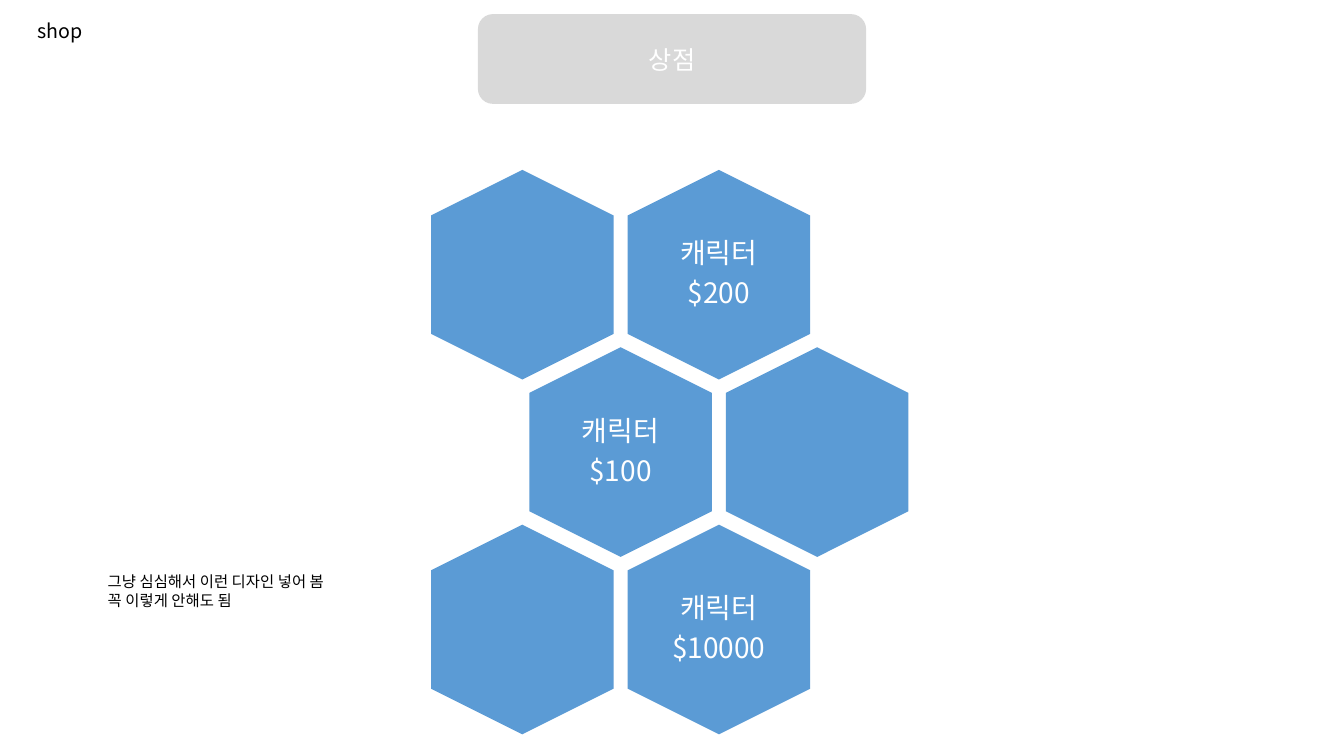
from dataclasses import dataclass

import lxml.etree
import pptx
import pptx.dml.color
import pptx.enum.shapes
import pptx.enum.text
import pptx.oxml.ns
import pptx.shapes.autoshape
import pptx.shapes.shapetree
import pptx.util

Inches = pptx.util.Inches
Pt = pptx.util.Pt
RGBColor = pptx.dml.color.RGBColor
Align = pptx.enum.text.PP_ALIGN
Anchor = pptx.enum.text.MSO_ANCHOR
Preset = pptx.enum.shapes.MSO_SHAPE


@dataclass(frozen=True)
class Theme:
    font: str = "Noto Sans CJK KR"
    black: RGBColor = RGBColor(0x00, 0x00, 0x00)
    white: RGBColor = RGBColor(0xFF, 0xFF, 0xFF)
    tile: RGBColor = RGBColor(0x5B, 0x9B, 0xD5)
    banner: RGBColor = RGBColor(0xD9, 0xD9, 0xD9)
    label_size: int = 14
    banner_size: int = 18
    tile_size: int = 20
    note_size: int = 11


@dataclass(frozen=True)
class Box:
    left: float
    top: float
    width: float
    height: float

    def lengths(self) -> tuple[pptx.util.Length, ...]:
        return tuple(Inches(v) for v in (self.left, self.top, self.width, self.height))


@dataclass(frozen=True)
class ShopTile:
    row: int
    column: int
    lines: tuple[str, ...] = ()


@dataclass(frozen=True)
class Caption:
    box: Box
    lines: tuple[str, ...]
    size: int


THEME = Theme()
BANNER = Box(4.74, 0.14, 3.85, 0.89)

# Hexagons are drawn lying down and turned upright; odd rows shift by half a step.
HONEYCOMB = Box(4.14, 1.82, 2.08, 1.81)
COLUMN_STEP = 1.95
ROW_STEP = 1.76
PRICE_WIDTH, PRICE_HEIGHT = 1.24, 1.43
PRICE_INSET = 0.08

TILES = (
    ShopTile(0, 1, ("캐릭터", "$200")),
    ShopTile(0, 0),
    ShopTile(1, 0, ("캐릭터", "$100")),
    ShopTile(1, 1),
    ShopTile(2, 1, ("캐릭터", "$10000")),
    ShopTile(2, 0),
)

PAGE_LABEL = Caption(Box(0.27, 0.14, 1.39, 0.34), ("shop",), THEME.label_size)
DESIGN_NOTE = Caption(
    Box(0.97, 5.63, 3, 0.47),
    ("그냥 심심해서 이런 디자인 넣어 봄", "꼭 이렇게 안해도 됨"),
    THEME.note_size,
)


def write_lines(
    frame: pptx.text.text.TextFrame,
    lines: tuple[str, ...],
    size: int,
    color: RGBColor,
    align: Align = Align.LEFT,
) -> None:
    """Write one paragraph per line, with the font set for Latin and Korean text."""
    frame.word_wrap = True
    for index, line in enumerate(lines):
        paragraph = frame.add_paragraph() if index else frame.paragraphs[0]
        paragraph.alignment = align
        run = paragraph.add_run()
        run.text = line
        run.font.name = THEME.font
        run.font.size = Pt(size)
        run.font.color.rgb = color
        korean = lxml.etree.SubElement(run.font._element, pptx.oxml.ns.qn("a:ea"))
        korean.set("typeface", THEME.font)


def add_filled_shape(
    shapes: pptx.shapes.shapetree.SlideShapes | pptx.shapes.shapetree.GroupShapes,
    preset: Preset,
    box: Box,
    color: RGBColor,
) -> pptx.shapes.autoshape.Shape:
    shape = shapes.add_shape(preset, *box.lengths())
    shape.shadow.inherit = False
    shape.fill.solid()
    shape.fill.fore_color.rgb = color
    shape.line.fill.background()
    return shape


def add_tile(shapes: pptx.shapes.shapetree.GroupShapes, tile: ShopTile) -> None:
    left = HONEYCOMB.left + COLUMN_STEP * (tile.column + tile.row % 2 / 2)
    top = HONEYCOMB.top + ROW_STEP * tile.row
    box = Box(left, top, HONEYCOMB.width, HONEYCOMB.height)
    hexagon = add_filled_shape(shapes, Preset.HEXAGON, box, THEME.tile)
    hexagon.rotation = 90
    if not tile.lines:
        return

    price_box = Box(
        left + (box.width - PRICE_WIDTH) / 2,
        top + (box.height - PRICE_HEIGHT) / 2,
        PRICE_WIDTH,
        PRICE_HEIGHT,
    )
    frame = shapes.add_textbox(*price_box.lengths()).text_frame
    frame.margin_left = frame.margin_right = Inches(PRICE_INSET)
    frame.margin_top = frame.margin_bottom = Inches(PRICE_INSET)
    frame.vertical_anchor = Anchor.MIDDLE
    write_lines(frame, tile.lines, THEME.tile_size, THEME.white, Align.CENTER)
    for paragraph in frame.paragraphs:
        paragraph.line_spacing = 0.9
        paragraph.space_after = Pt(0.35 * THEME.tile_size)


def add_caption(shapes: pptx.shapes.shapetree.SlideShapes, caption: Caption) -> None:
    frame = shapes.add_textbox(*caption.box.lengths()).text_frame
    frame.auto_size = pptx.enum.text.MSO_AUTO_SIZE.SHAPE_TO_FIT_TEXT
    write_lines(frame, caption.lines, caption.size, THEME.black)


def add_banner(shapes: pptx.shapes.shapetree.SlideShapes) -> None:
    banner = add_filled_shape(shapes, Preset.ROUNDED_RECTANGLE, BANNER, THEME.banner)
    banner.text_frame.vertical_anchor = Anchor.MIDDLE
    write_lines(
        banner.text_frame, ("상점",), THEME.banner_size, THEME.white, Align.CENTER
    )


def main() -> None:
    deck = pptx.Presentation()
    deck.slide_width = Inches(13.33)
    deck.slide_height = Inches(7.5)
    shapes = deck.slides.add_slide(deck.slide_layouts[6]).shapes

    add_caption(shapes, PAGE_LABEL)
    honeycomb = shapes.add_group_shape()
    for tile in TILES:
        add_tile(honeycomb.shapes, tile)
    add_banner(shapes)
    add_caption(shapes, DESIGN_NOTE)
    deck.save("out.pptx")


if __name__ == "__main__":
    main()
